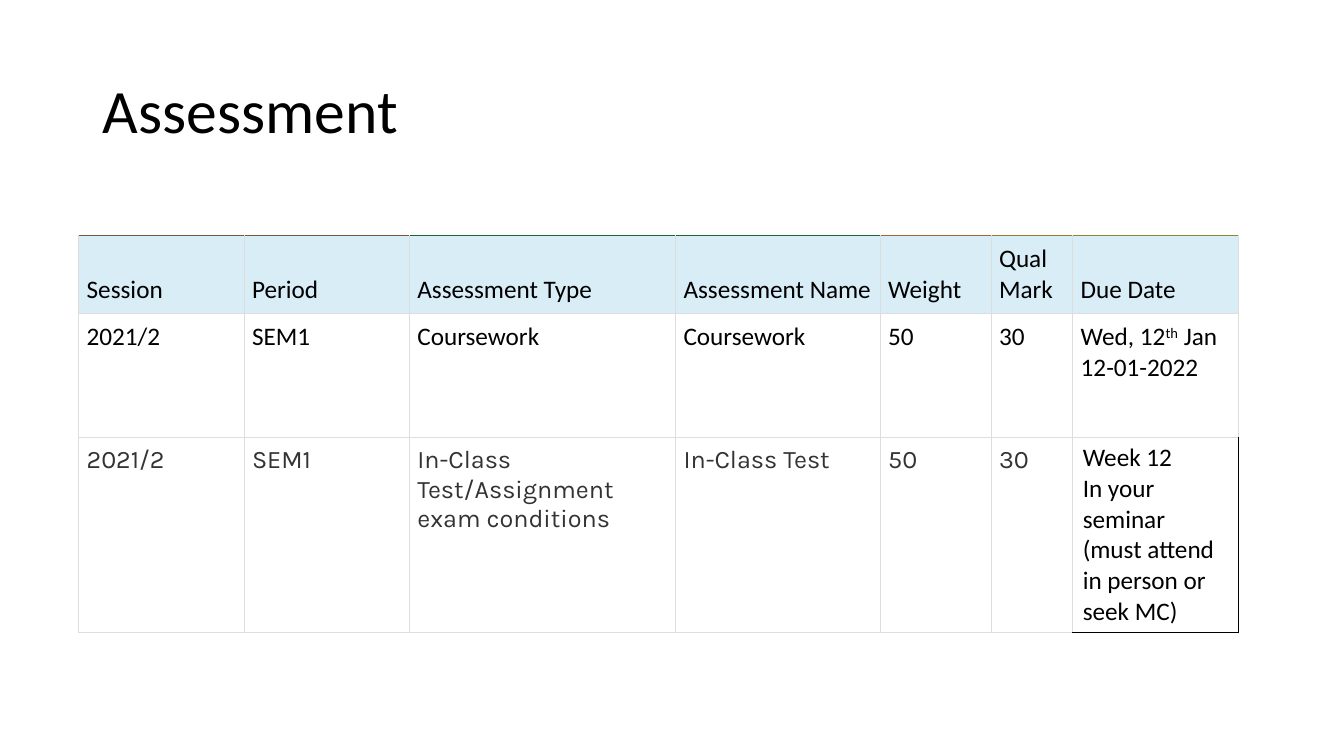
from lxml.etree import SubElement
from pptx import Presentation
from pptx.dml.color import RGBColor
from pptx.enum.text import MSO_ANCHOR, PP_ALIGN
from pptx.oxml.ns import qn
from pptx.util import Pt

TITLE = "Assessment"
HEADS = [  # label, colour of the top edge
    ("Session", "805635"),
    ("Period", "805635"),
    ("Assessment Type", "206635"),
    ("Assessment Name", "206735"),
    ("Weight", "A06635"),
    ("Qual Mark", "A07835"),
    ("Due Date", "808D35"),
]
# Text between two carets is superscript.
COURSE = ["2021/2", "SEM1", "Coursework", "Coursework", "50", "30",
          "Wed, 12^th^ Jan \n12-01-2022"]
TEST = ["2021/2", "SEM1", "In-Class Test/Assignment exam conditions",
        "In-Class Test", "50", "30",
        "Week 12 \nIn your seminar (must attend in person or seek MC)"]
WIDTHS = [164, 164, 264, 203, 110, 81, 164]
HEIGHTS = [71, 123, 152]
GRID, BLACK, GREY = "DDDDDD", "000000", "333333"
SCALE = 9144  # EMU in a px, 100 px to the inch


def px(n):
    return n * SCALE


def color(code):
    return RGBColor.from_string(code)


def write(frame, text, size=18, font="Calibri", ink=BLACK, space=None):
    para = frame.paragraphs[0]
    para.alignment = PP_ALIGN.LEFT
    if space:
        para.line_spacing = space
    for row, line in enumerate(text.split("\n")):
        if row:
            para.add_line_break()
        for i, part in enumerate(line.split("^")):
            run = para.add_run()
            run.text = part
            run.font.size = Pt(size)
            run.font.name = font
            run.font.color.rgb = color(ink)
            if i % 2:
                run.font._element.set("baseline", "30000")


def edge(cell, left=GRID, right=GRID, top=GRID, bottom=GRID):
    """Draw the four borders; call before the cell is filled."""
    props = cell._tc.get_or_add_tcPr()
    for side, code in zip("LRTB", (left, right, top, bottom)):
        line = SubElement(props, qn(f"a:ln{side}"), w=str(Pt(0.75)))
        fill = SubElement(line, qn("a:solidFill"))
        SubElement(fill, qn("a:srgbClr"), val=code)


def shade(cell, code=None):
    if code:
        cell.fill.solid()
        cell.fill.fore_color.rgb = color(code)
    else:
        cell.fill.background()


def inset(cell, side=8, end=8):
    cell.margin_left = cell.margin_right = px(side)
    cell.margin_top = cell.margin_bottom = px(end)


def main():
    deck = Presentation()
    deck.slide_width, deck.slide_height = px(1333), px(750)
    slide = deck.slides.add_slide(deck.slide_layouts[5])

    title = slide.shapes.title
    title.left, title.top, title.width, title.height = map(px, (92, 40, 1150, 145))
    title.text_frame.vertical_anchor = MSO_ANCHOR.MIDDLE
    write(title.text_frame, TITLE, size=44, space=0.9)

    table = slide.shapes.add_table(
        len(HEIGHTS), len(WIDTHS), px(78), px(234),
        px(sum(WIDTHS)), px(sum(HEIGHTS))).table
    table.first_row = table.horz_banding = False
    for col, width in zip(table.columns, WIDTHS):
        col.width = px(width)
    for row, height in zip(table.rows, HEIGHTS):
        row.height = px(height)

    last = len(WIDTHS) - 1
    for c, (label, top) in enumerate(HEADS):
        head, work, test = (table.cell(r, c) for r in range(3))

        inset(head)
        head.vertical_anchor = MSO_ANCHOR.BOTTOM
        edge(head, top=top)
        shade(head, "D9EDF7")
        write(head.text_frame, label)

        inset(work)
        edge(work)
        shade(work)
        write(work.text_frame, COURSE[c])

        if c < last:
            inset(test)
            edge(test)
            shade(test, "FFFFFF")
            write(test.text_frame, TEST[c], font="Karla", ink=GREY)
        else:
            inset(test, side=10, end=5)
            edge(test, right=BLACK, bottom=BLACK)
            shade(test)
            write(test.text_frame, TEST[c])

    deck.save("out.pptx")


if __name__ == "__main__":
    main()
